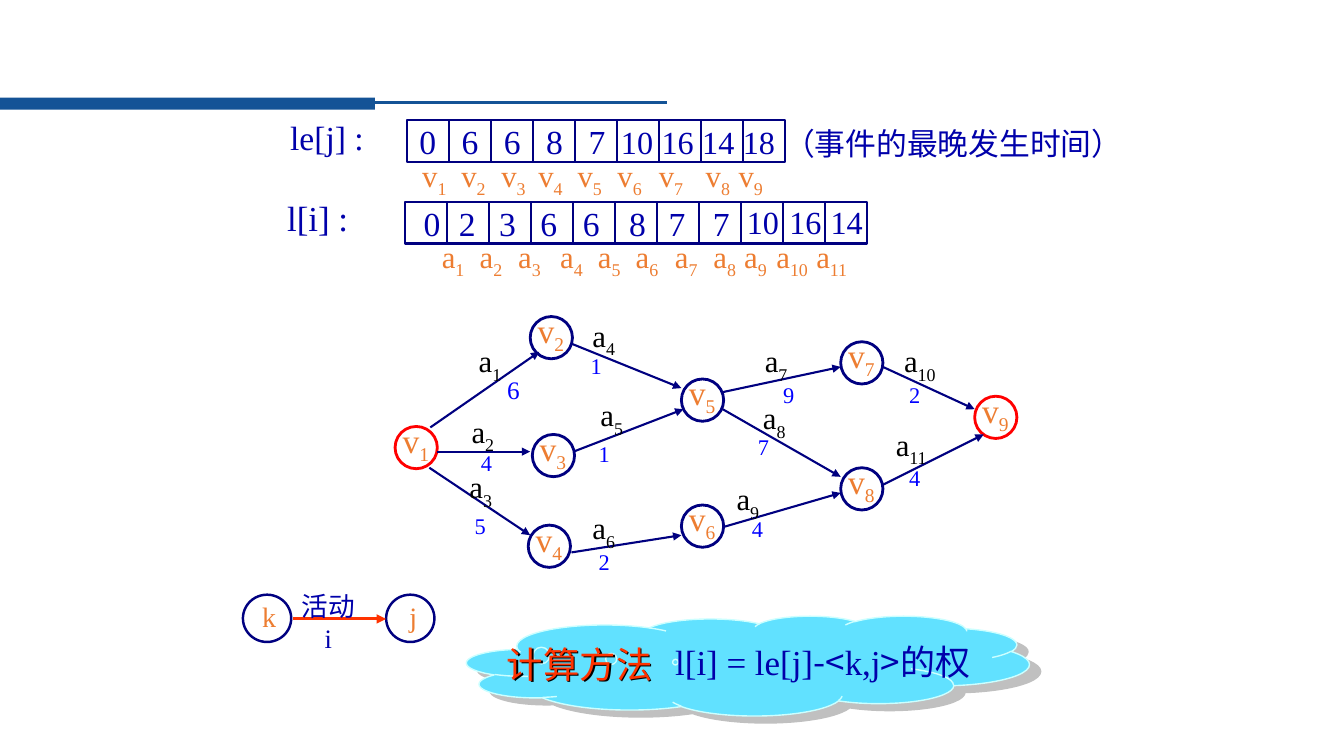
"""Build the slide on the latest event times and activity start times of an AOE network."""
from dataclasses import dataclass
from itertools import chain

from lxml import etree
from pptx import Presentation
from pptx import util as u
from pptx.dml.color import RGBColor
from pptx.enum import shapes, text
from pptx.oxml import ns

NAVY = RGBColor(0x00, 0x00, 0x80)
INK = RGBColor(0x00, 0x00, 0xAA)
BLUE = RGBColor(0x00, 0x00, 0xFF)
BLACK = RGBColor(0x00, 0x00, 0x00)
ORANGE = RGBColor(0xED, 0x7D, 0x31)
RED = RGBColor(0xFF, 0x00, 0x00)
SCARLET = RGBColor(0xFF, 0x33, 0x00)
BANNER = RGBColor(0x14, 0x53, 0x96)
SKY = RGBColor(0x61, 0xE1, 0xFF)
PALE = RGBColor(0xCC, 0xFF, 0xFF)
SERIF, SANS = "Times New Roman", "Noto Sans CJK SC"
LEFT, CENTER = text.PP_ALIGN.LEFT, text.PP_ALIGN.CENTER
CELL = 30
CIRCLE = 30.2


@dataclass(frozen=True)
class Run:
    """A stretch of text in one format."""
    text: str
    size: float
    color: RGBColor
    font: str = SERIF
    baseline: int = 0


@dataclass(frozen=True)
class Event:
    """A numbered network vertex."""
    number: int
    left: float
    top: float
    color: RGBColor = NAVY


@dataclass(frozen=True)
class Activity:
    """A numbered, weighted network edge with its two label places."""
    number: int
    start: tuple[float, float]
    end: tuple[float, float]
    name_at: tuple[float, float]
    weight: str
    weight_at: tuple[float, float]
    weight_size: int = 16


EVENTS = (
    Event(1, 282.2, 304.6, RED), Event(2, 378.7, 226.1), Event(3, 380.2, 310.3),
    Event(4, 377.3, 375.1), Event(5, 486.7, 270.7), Event(6, 486.7, 360.7),
    Event(7, 600.5, 244.1), Event(8, 600.5, 334.1), Event(9, 696.2, 283, RED),
)
ACTIVITIES = (
    Activity(1, (307.4, 305.3), (385.2, 251.3), (350, 240.5), "6", (366.8, 263.5), 18),
    Activity(2, (312.5, 322.6), (378.7, 322.6), (344.9, 290.9), "4", (347.4, 317.5)),
    Activity(3, (306.7, 334.1), (378.7, 382.3), (343.4, 330.5), "5", (343.1, 362.2)),
    Activity(4, (408.2, 245.5), (486.7, 277.2), (431.3, 222.5), "1", (425.9, 247.7)),
    Activity(5, (409.7, 322.6), (488.2, 292.3), (437, 279.4), "1", (431.6, 311)),
    Activity(6, (408.2, 394.6), (486.7, 382.3), (431.3, 360), "2", (431.6, 388.1)),
    Activity(7, (516.2, 280.1), (600.5, 262.1), (554.4, 240.5), "9", (563.4, 268.6)),
    Activity(8, (516.2, 292.3), (600.5, 340.6), (553, 281.5), "7", (545.4, 306)),
    Activity(9, (516.2, 376.6), (600.5, 352.1), (534.2, 339.1), "4", (541.1, 364.3)),
    Activity(10, (630.7, 262.1), (696.2, 292.3), (657, 240.5), "2", (653.4, 268.6)),
    Activity(11, (630.7, 346.3), (702.7, 310.3), (650.9, 300.2), "4", (653.4, 328.3)),
)
LATEST_STARTS = (
    ("0", 308.5), ("2", 333.7), ("3", 362.5), ("6", 392), ("6", 422.3), ("8", 455.4),
    ("7", 483.5), ("7", 515.2), ("10", 545), ("16", 575.3), ("14", 604.8),
)
LATEST_TIMES = ("0", "6", "6", "8", "7", "10", "16", "14", "18")
TIME_TABS = [30.2 * i for i in range(1, 5)] + [144 + 29 * i for i in range(4)]
EVENT_TABS = (28, 56.5, 83, 111, 139.5, 169, 202.5, 226)
ACTIVITY_TABS = (27, 54.5, 84.5, 111.5, 138.5, 166.5, 194, 216, 239, 267.5)


def add_shadow(shape, color: str, distance: float, degrees: int) -> None:
    """Give a shape an outer shadow."""
    properties = shape._element.spPr
    effects = properties.find(ns.qn("a:effectLst"))
    if effects is None:
        effects = etree.SubElement(properties, ns.qn("a:effectLst"))
    shadow = etree.SubElement(effects, ns.qn("a:outerShdw"), dist=str(u.Pt(distance)),
                              dir=str(degrees * 60000), algn="ctr", rotWithShape="0")
    etree.SubElement(shadow, ns.qn("a:srgbClr"), val=color)


def add_shape(slide, kind, left: float, top: float, width: float, height: float,
              fill: RGBColor | None = None, line: RGBColor | None = None, weight: float = 1):
    """Draw a preset shape with the given fill and outline."""
    shape = slide.shapes.add_shape(kind, *map(u.Pt, (left, top, width, height)))
    shape.shadow.inherit = False
    for paint, color in ((shape.fill, fill), (shape.line.fill, line)):
        if color is None:
            paint.background()
        else:
            paint.solid()
            paint.fore_color.rgb = color
    if line is not None:
        shape.line.width = u.Pt(weight)
    return shape


def add_line(slide, start: tuple[float, float], end: tuple[float, float],
             color: RGBColor, weight: float, arrow: bool = True) -> None:
    """Draw a straight line, with an arrowhead at its end if asked."""
    line = slide.shapes.add_connector(shapes.MSO_CONNECTOR.STRAIGHT,
                                      *map(u.Pt, (*start, *end)))
    line.line.color.rgb = color
    line.line.width = u.Pt(weight)
    if arrow:
        etree.SubElement(line.line._get_or_add_ln(), ns.qn("a:tailEnd"), type="triangle")
    etree.SubElement(line._element.spPr, ns.qn("a:effectLst"))


def add_text(slide, x: float, top: float, width: float, height: float, *runs: Run,
             align=CENTER, tabs=()):
    """Write runs in a box that starts at x, or is centred on x."""
    left = x - width / 2 if align == CENTER else x
    box = slide.shapes.add_textbox(*map(u.Pt, (left, top, width, height)))
    box.text_frame.word_wrap = align == LEFT
    paragraph = box.text_frame.paragraphs[0]
    paragraph.alignment = align
    if tabs:
        stops = etree.SubElement(paragraph._p.get_or_add_pPr(), ns.qn("a:tabLst"))
        for tab in tabs:
            etree.SubElement(stops, ns.qn("a:tab"), pos=str(u.Pt(tab)), algn="l")
    for part in runs:
        if part.text == "\n":
            paragraph.add_line_break()
            continue
        run = paragraph.add_run()
        run.text = part.text
        run.font.color.rgb = part.color
        for name, value in {"size": u.Pt(part.size), "name": part.font}.items():
            setattr(run.font, name, value)
        etree.SubElement(run.font._element, ns.qn("a:ea"), typeface=SANS)
        if part.baseline:
            run.font._element.set("baseline", str(part.baseline * 1000))
    return box


def indexed(letter: str, number: int, size: float, color: RGBColor, drop: int) -> tuple[Run, Run]:
    """Give the runs of a letter with a subscript."""
    return Run(letter, size, color), Run(str(number), size, color, baseline=drop)


def index_row(letter: str, count: int) -> list[Run]:
    """Give the runs of a tabbed row of subscripted letters."""
    lead = (letter if n == 1 else f"\t{letter}" for n in range(1, count + 1))
    return list(chain.from_iterable(
        indexed(name, n, 22, ORANGE, -25) for n, name in enumerate(lead, 1)))


def draw_tables(slide) -> None:
    """Draw the two rows of times with their headings."""
    for left, top, count in ((289.5, 144, 11), (290.5, 85.7, 9)):
        for column in range(count):
            add_shape(slide, shapes.MSO_SHAPE.RECTANGLE, left + column * CELL, top,
                      CELL, CELL, line=NAVY, weight=1.5)
    add_text(slide, 198, 136.8, 80, 37, Run("l[i] :", 25, INK), align=LEFT)
    add_text(slide, 233.6, 79.9, 68, 37, Run("le[j] :", 24, INK))
    times = [Run(("\t" if i else "") + value, 24 if i < 5 else 23, INK)
             for i, value in enumerate(LATEST_TIMES)]
    add_text(slide, 292.5, 82.8, 283, 37, *times, align=LEFT, tabs=TIME_TABS)
    add_text(slide, 294.5, 108.4, 283, 34, *index_row("v", 9), align=LEFT, tabs=EVENT_TABS)
    add_text(slide, 308.5, 166.3, 320, 34, *index_row("a", 11), align=LEFT, tabs=ACTIVITY_TABS)
    add_text(slide, 553, 85.7, 275, 34, Run("（事件的最晚发生时间）", 22, INK), align=LEFT)
    for value, center in LATEST_STARTS:
        size = 24 if len(value) == 1 else 23
        add_text(slide, center, 141.3, 13 * len(value) + 14, 36, Run(value, size, INK))


def draw_network(slide) -> None:
    """Draw the events and the activities between them."""
    for event in EVENTS:
        add_shape(slide, shapes.MSO_SHAPE.OVAL, event.left, event.top, CIRCLE, CIRCLE,
                  line=event.color, weight=2)
        add_text(slide, event.left + 14.8, event.top - 8.3, 38, 36.7,
                 *indexed("v", event.number, 24, ORANGE, -24))
    for activity in ACTIVITIES:
        add_line(slide, activity.start, activity.end, NAVY, 1.5)
        add_text(slide, *activity.name_at, 50, 34,
                 *indexed("a", activity.number, 22, BLACK, -28))
        add_text(slide, *activity.weight_at, 26, 26.6,
                 Run(activity.weight, activity.weight_size, BLUE))


def draw_method(slide) -> None:
    """Draw the key of one activity and the cloud with the formula."""
    for name, left, center in (("k", 173.5, 192.2), ("j", 275.8, 295.2)):
        add_shape(slide, shapes.MSO_SHAPE.OVAL, left, 424.8, 34.5, 33.8, line=NAVY, weight=1.75)
        add_text(slide, center, 424.8, 24, 31.7, Run(name, 20, ORANGE))
    add_line(slide, (209.5, 442.1), (275.8, 442.1), SCARLET, 2.25)
    add_text(slide, 234.5, 417.6, 58, 30, Run("活动", 19, INK, SANS), Run("\n", 19, INK),
             Run("i", 19, INK))
    cloud = add_shape(slide, shapes.MSO_SHAPE.CLOUD_CALLOUT, 333.4, 439.9, 401.8, 71.3, SKY, PALE)
    for index, value in enumerate((-0.129, -0.036)):
        cloud.adjustments[index] = value
    add_shadow(cloud, "C0C0C0", 9.4, 32)
    title = add_text(slide, 355, 455, 152.6, 39, Run("计算方法", 26, SCARLET), align=LEFT)
    add_shadow(title, "000000", 1.5, 45)
    formula = (("l[i] = le[j]", SERIF), ("-<", SANS), ("k,j", SERIF), (">", SANS), ("的权", SERIF))
    add_text(slide, 475.2, 454.3, 328, 37.4,
             *(Run(part, 25, INK, font) for part, font in formula), align=LEFT)


def main() -> None:
    """Build and save the slide."""
    deck = Presentation()
    deck.slide_width, deck.slide_height = u.Pt(960), u.Pt(540)
    slide = deck.slides.add_slide(deck.slide_layouts[6])
    add_shape(slide, shapes.MSO_SHAPE.RECTANGLE, 0, 69.8, 267.8, 8.6, BANNER)
    add_line(slide, (265, 73.4), (476.6, 73.4), BANNER, 2.25, arrow=False)
    draw_method(slide)
    draw_tables(slide)
    draw_network(slide)
    deck.save("out.pptx")


if __name__ == "__main__":
    main()
